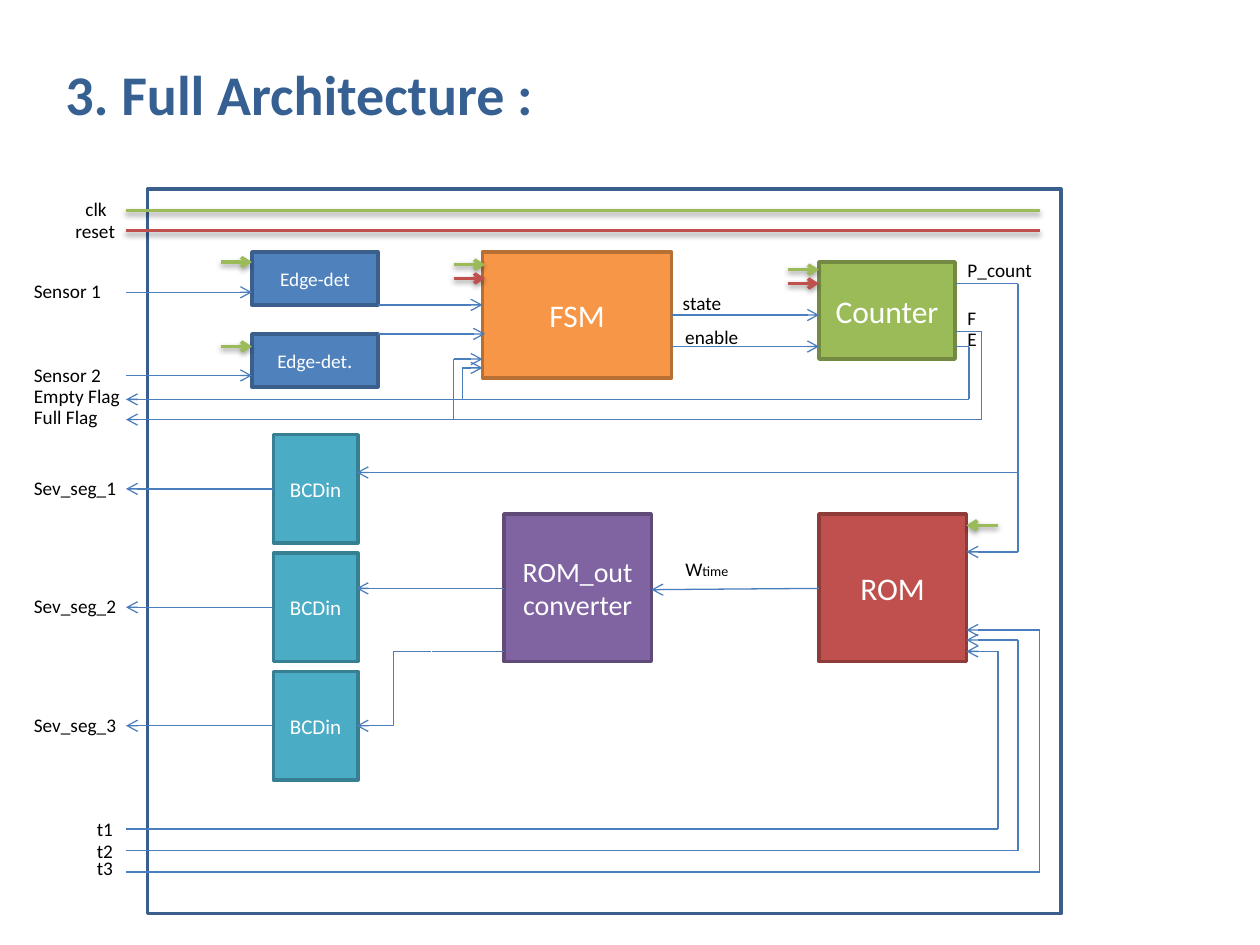
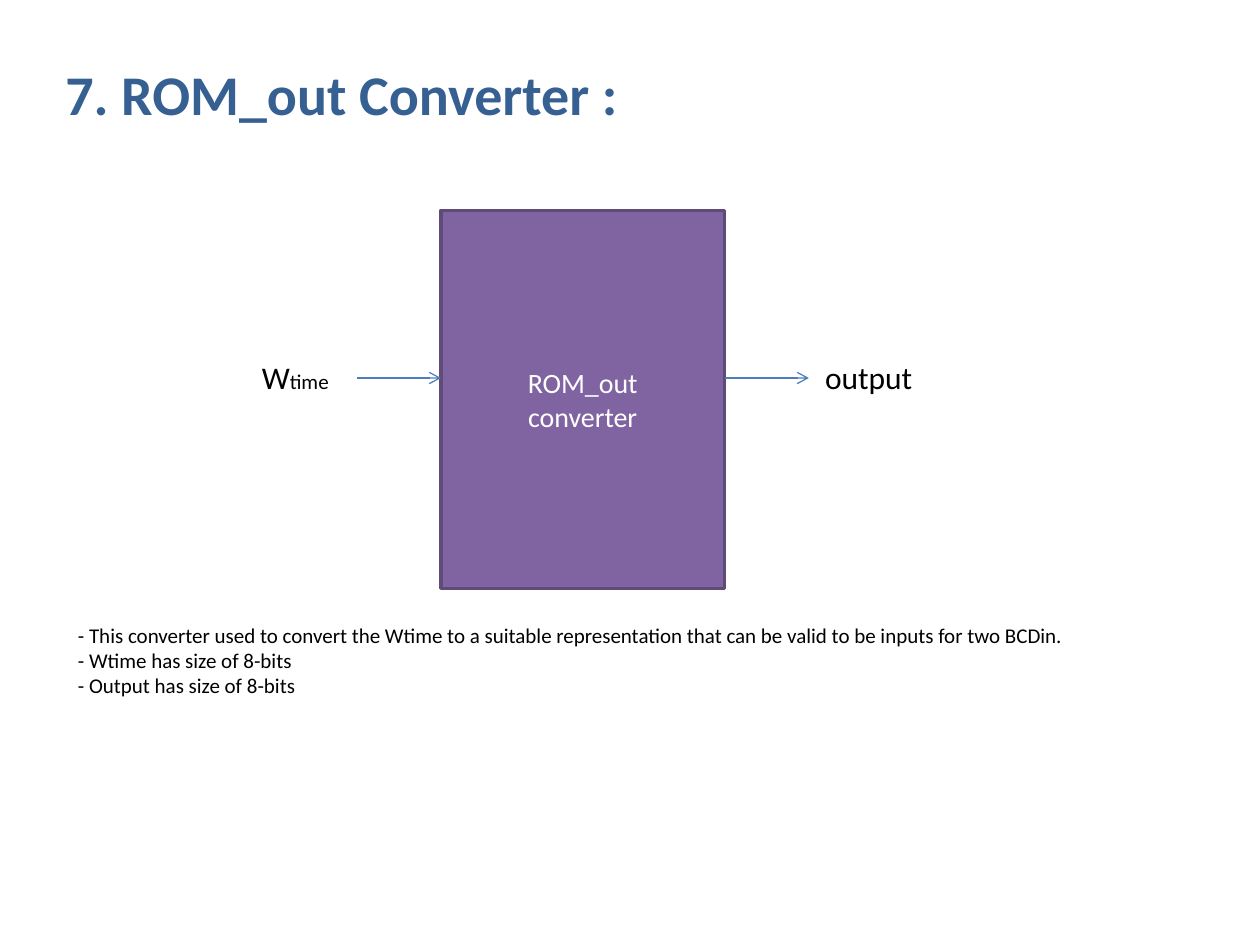
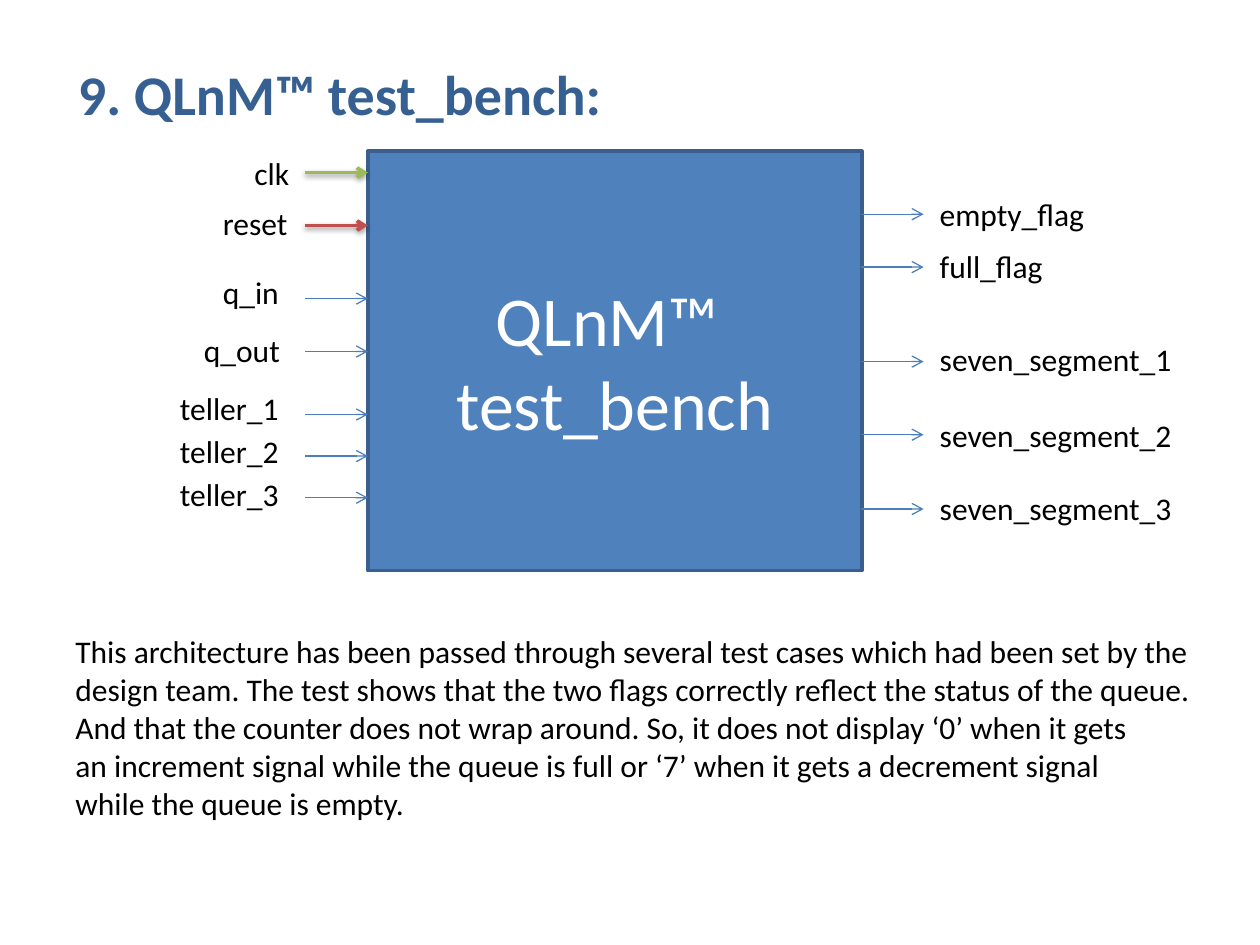
"""Build three slides on the architecture of a queue monitor."""
import pptx
import pptx.dml.color
import pptx.enum.shapes
import pptx.enum.text
import pptx.oxml
import pptx.oxml.ns
import pptx.util
from dataclasses import dataclass

Inches = pptx.util.Inches
Pt = pptx.util.Pt
RGB = pptx.dml.color.RGBColor.from_string


@dataclass(frozen=True)
class Theme:
    font: str = "Calibri"
    title: str = "376092"
    text: str = "000000"
    white: str = "FFFFFF"
    wire: str = "4B7EBC"
    clock: str = "9BBB59"
    reset: str = "C0504D"
    blue: tuple = ("4F81BD", "3A5F8C")
    orange: tuple = ("F79646", "B76F34")
    green: tuple = ("9BBB59", "738A42")
    red: tuple = ("C0504D", "8E3B39")
    purple: tuple = ("8064A2", "5F4A78")
    teal: tuple = ("4BACC6", "377F92")
    frame: tuple = ("FFFFFF", "3A5F8C")
    title_pt: int = 32
    huge_pt: int = 40
    large_pt: int = 18
    medium_pt: int = 16
    small_pt: int = 12
    label_pt: int = 11
    tiny_pt: int = 8
    thick: float = 2
    thin: float = 0.75


T = Theme()


def put(s, at, text, size, block=None, color=T.text, bold=False, wrap=False, tail=None):
    """Add a label, or a filled block when a (fill, line) pair is given."""
    box = [Inches(v) for v in at]
    if block:
        sp = s.shapes.add_shape(pptx.enum.shapes.MSO_SHAPE.RECTANGLE, *box)
        sp.shadow.inherit = False
        sp.fill.solid()
        sp.fill.fore_color.rgb = RGB(block[0])
        sp.line.color.rgb = RGB(block[1])
        sp.line.width = Pt(T.thick)
        color = T.white
    else:
        sp = s.shapes.add_textbox(*box)
        sp.text_frame.auto_size = pptx.enum.text.MSO_AUTO_SIZE.SHAPE_TO_FIT_TEXT
    tf = sp.text_frame
    tf.word_wrap = bool(block) or wrap
    p = tf.paragraphs[0]
    if block:
        tf.vertical_anchor = pptx.enum.text.MSO_ANCHOR.MIDDLE
        p.alignment = pptx.enum.text.PP_ALIGN.CENTER
    runs = [(line, size) for line in text.split("\n")] if text else []
    for i, (words, pt) in enumerate(runs + ([tail] if tail else [])):
        if 0 < i < len(runs):
            if block:
                p.add_line_break()
            else:
                p = tf.add_paragraph()
        r = p.add_run()
        r.text = words
        r.font.name = T.font
        r.font.size = Pt(pt)
        r.font.bold = bold
        r.font.color.rgb = RGB(color)


def wire(s, points, color=T.wire, arrow=True, elbow=False):
    """Join the points with lines; clock and reset lines are thick and shaded."""
    kinds = pptx.enum.shapes.MSO_CONNECTOR
    signal = color != T.wire
    for i, (a, b) in enumerate(zip(points, points[1:]), 2):
        cn = s.shapes.add_connector(kinds.ELBOW if elbow else kinds.STRAIGHT,
                                    *[Inches(v) for v in a + b])
        cn.line.color.rgb = RGB(color)
        cn.line.width = Pt(T.thick if signal else T.thin)
        if arrow and i == len(points):
            cn.line._get_or_add_ln().append(pptx.oxml.parse_xml(
                f'<a:tailEnd {pptx.oxml.ns.nsdecls("a")} type="arrow"/>'))
        shade = ('<a:outerShdw blurRad="40000" dist="20000" dir="5400000" rotWithShape="0">'
                 '<a:srgbClr val="000000"><a:alpha val="38000"/></a:srgbClr></a:outerShdw>')
        cn._element.spPr.append(pptx.oxml.parse_xml(
            f'<a:effectLst {pptx.oxml.ns.nsdecls("a")}>{shade if signal else ""}</a:effectLst>'))


prs = pptx.Presentation()
prs.slide_width = Inches(10)
prs.slide_height = Inches(7.5)

slides = []
for title, width in [("3. Full Architecture :", 3.95), ("7. ROM_out Converter :", 4.63),
                     (" 9. QLnM™ test_bench:", 4.46)]:
    s = prs.slides.add_slide(prs.slide_layouts[6])
    put(s, (0.42, 0.42, width, 0.64), title, T.title_pt, color=T.title, bold=True)
    slides.append(s)
architecture, converter, bench = slides

s = architecture
put(s, (1.17, 1.5, 7.25, 5.75), "", T.label_pt, T.frame)
put(s, (2, 2, 1, 0.42), "Edge-det", T.label_pt, T.blue)
put(s, (2, 2.65, 1, 0.42), "Edge-det", T.label_pt, T.blue, tail=(".", T.small_pt))
for at, name, size, block in [
    ((3.83, 2, 1.5, 1), "FSM", T.large_pt, T.orange),
    ((6.5, 2.08, 1.08, 0.77), "Counter", T.large_pt, T.green),
    ((6.5, 4.08, 1.17, 1.17), "ROM", T.large_pt, T.red),
    ((4, 4.08, 1.17, 1.17), "ROM_out\nconverter", T.medium_pt, T.purple),
]:
    put(s, at, name, size, block)

wire(s, [(1, 1.83), (8.25, 1.83)], T.reset, arrow=False)
wire(s, [(1, 1.67), (8.25, 1.67)], T.clock, arrow=False)
for x, y, dx, color in [
    (1.75, 2.08, 0.25, T.clock), (1.75, 2.75, 0.25, T.clock),
    (3.6, 2.1, 0.25, T.clock), (3.6, 2.21, 0.25, T.reset),
    (6.25, 2.14, 0.25, T.clock), (6.25, 2.25, 0.25, T.reset),
    (7.92, 4.17, -0.25, T.clock),
]:
    wire(s, [(x, y), (x + dx, y)], color)

for i in range(3):
    y = 3.45 + 0.94 * i
    put(s, (2.17, y, 0.67, 0.86), "BCDin", T.small_pt, T.teal)
    wire(s, [(2.17, y + 0.43), (1, y + 0.43)])
    put(s, (0.17, y + 0.28, 1, 0.29), f"Sev_seg_{i + 1}", T.label_pt, wrap=True)

for i, (x, start, end, top) in enumerate([
    (7.92, 6.58, 5.17, 6.44), (8.08, 6.75, 5.08, 6.61), (8.25, 6.92, 5, 6.75),
], 1):
    wire(s, [(1, start), (x, start), (x, end), (7.67, end)])
    put(s, (0.67, top, 0.33, 0.29), f"t{i}", T.label_pt)

for points in [
    [(1, 2.32), (2, 2.32)],
    [(1, 2.98), (2, 2.98)],
    [(3, 2.42), (3.83, 2.42)],
    [(3, 2.65), (3.85, 2.65)],
    [(5.33, 2.5), (6.5, 2.5)],
    [(5.33, 2.75), (6.5, 2.75)],
    [(7.58, 2.75), (7.69, 2.75), (7.69, 3.17), (1, 3.17)],
    [(7.58, 2.63), (7.79, 2.63), (7.79, 3.33), (1, 3.33)],
    [(3.67, 3.17), (3.67, 2.92), (3.83, 2.92)],
    [(3.6, 3.33), (3.6, 2.85), (3.83, 2.85)],
    [(7.58, 2.25), (8.08, 2.25), (8.08, 4.38), (7.67, 4.38)],
    [(8.08, 3.75), (2.83, 3.75)],
    [(4, 4.67), (2.83, 4.67)],
    [(6.5, 4.67), (5.17, 4.68)],
]:
    wire(s, points)
wire(s, [(4, 5.17), (3.43, 5.17)], arrow=False)
wire(s, [(3.42, 5.17), (2.83, 5.76)], elbow=True)

for x, y, width, name in [
    (0.58, 1.52, 0.37, "clk"), (0.5, 1.69, 0.52, "reset"),
    (7.58, 2, 0.72, "P_count"), (7.58, 2.38, 0.27, "F"), (7.58, 2.55, 0.28, "E"),
    (5.32, 2.26, 0.51, "state"), (5.34, 2.53, 0.63, "enable"),
]:
    put(s, (x, y, width, 0.29), name, T.label_pt)
for y, name in [(2.17, "Sensor 1"), (2.83, "Sensor 2"), (3, "Empty Flag"), (3.17, "Full Flag")]:
    put(s, (0.17, y, 1, 0.29), name, T.label_pt, wrap=True)
put(s, (5.34, 4.37, 0.55, 0.29), "W", T.label_pt, tail=("time", T.tiny_pt))

s = converter
put(s, (3.5, 1.67, 2.25, 3), "ROM_out\nconverter", T.medium_pt, T.purple)
for x in (2.83, 5.75):
    wire(s, [(x, 3), (x + 0.67, 3)])
put(s, (1.98, 2.79, 0.74, 0.4), "W", T.large_pt, tail=("time", T.small_pt))
put(s, (6.45, 2.79, 0.9, 0.4), "output", T.large_pt)
put(s, (0.52, 4.89, 8.2, 0.71),
    "- This converter used to convert the Wtime to a suitable representation "
    "that can be valid to be inputs for two BCDin.\n"
    "- Wtime has size of 8-bits\n"
    "- Output has size of 8-bits", T.small_pt)

s = bench
put(s, (0.5, 4.97, 9.2, 1.62),
    "This architecture has been passed through several test cases which had been set by the\n"
    "design team. The test shows that the two flags correctly reflect the status of the queue.\n"
    "And that the counter does not wrap around. So, it does not display ‘0’ when it gets\n"
    "an increment signal while the queue is full or ‘7’ when it gets a decrement signal\n"
    "while the queue is empty.", T.large_pt)
put(s, (2.92, 1.2, 3.92, 3.33), "QLnM™ \ntest_bench", T.huge_pt, T.blue)
for name, x, top, width, y, color in [
    ("clk", 1.92, 1.17, 0.48, 1.37, T.clock),
    ("reset", 1.67, 1.57, 0.72, 1.79, T.reset),
    ("q_in", 1.67, 2.12, 0.65, 2.37, T.wire),
    ("q_out", 1.52, 2.58, 0.81, 2.79, T.wire),
    ("teller_1", 1.33, 3.04, 0.99, 3.29, T.wire),
    ("teller_2", 1.33, 3.38, 0.99, 3.62, T.wire),
    ("teller_3", 1.33, 3.72, 0.99, 3.95, T.wire),
]:
    wire(s, [(2.42, y), (2.92, y)], color)
    put(s, (x, top, width, 0.4), name, T.large_pt)
for name, top, width, y in [
    ("empty_flag", 1.5, 1.36, 1.7),
    ("full_flag", 1.91, 1.03, 2.12),
    ("seven_segment_1", 2.65, 2.06, 2.87),
    ("seven_segment_2", 3.25, 2.06, 3.45),
    ("seven_segment_3", 3.83, 2.06, 4.04),
]:
    wire(s, [(6.83, y), (7.33, y)])
    put(s, (7.36, top, width, 0.4), name, T.large_pt)

prs.save("out.pptx")
